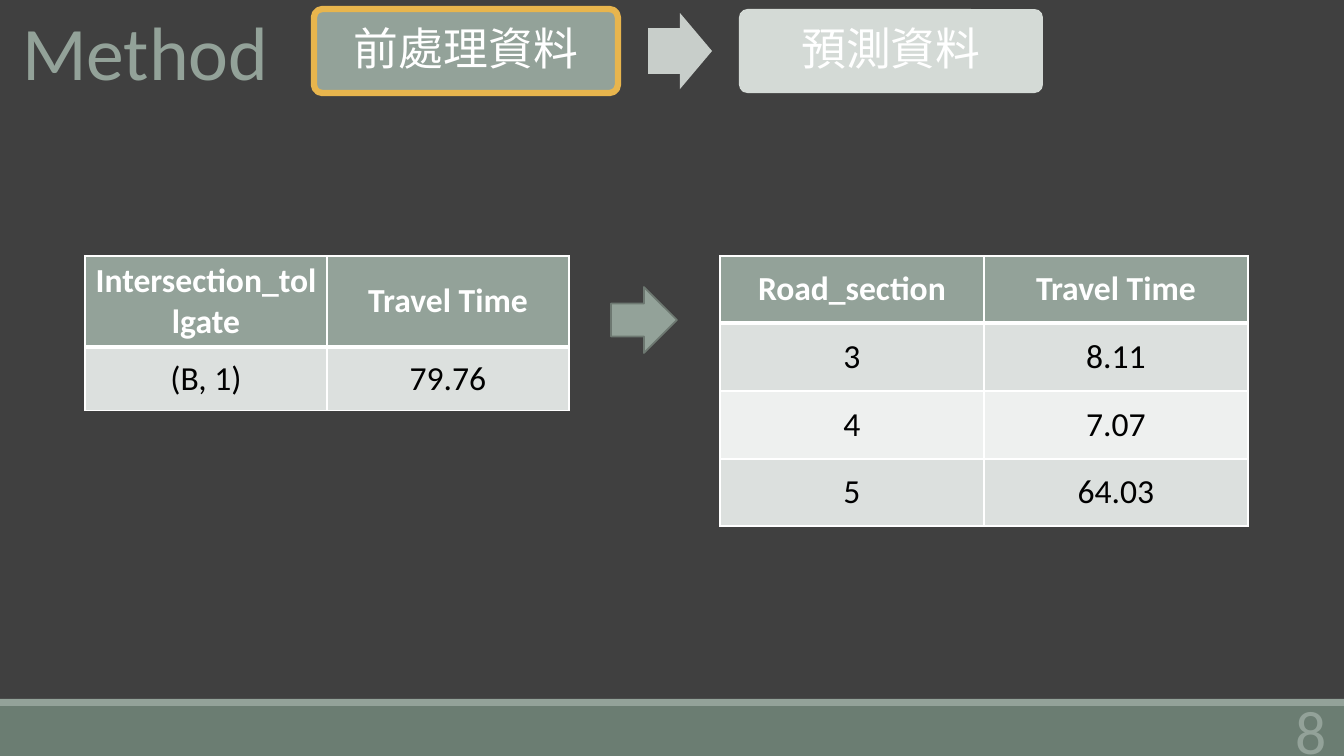
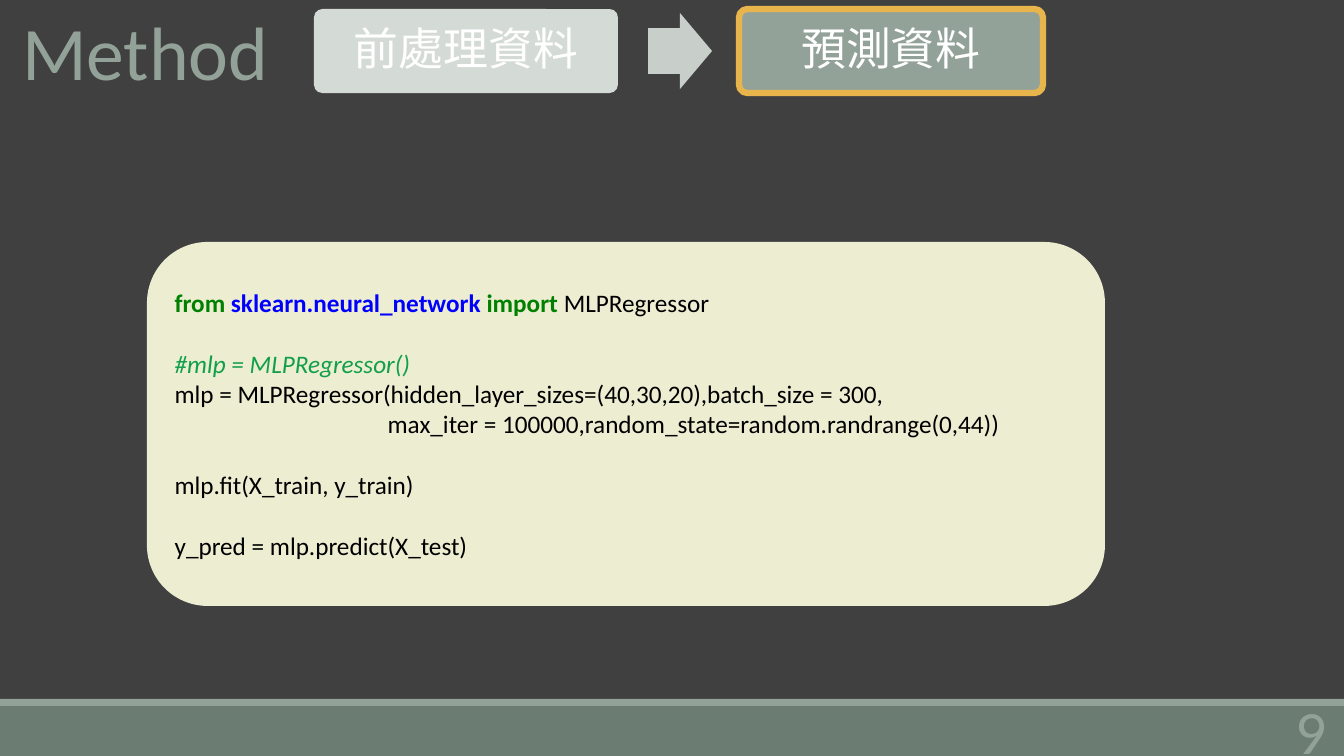
"""Build two Method slides: preprocessing tables and the prediction code."""
import dataclasses

import pptx
import pptx.dml.color
import pptx.enum.shapes
import pptx.enum.text
import pptx.oxml
import pptx.oxml.ns
import pptx.util

SHAPE = pptx.enum.shapes.MSO_SHAPE
ALIGN = pptx.enum.text.PP_ALIGN
ANCHOR = pptx.enum.text.MSO_ANCHOR
PX = 914400 / 100.8
WIDTH, HEIGHT = 1344, 756


@dataclasses.dataclass(frozen=True)
class Theme:
    font: str = "Calibri"
    cjk_font: str = "Noto Sans CJK SC"
    background: str = "404040"
    sage: str = "93A299"
    footer: str = "6B7D72"
    faded: str = "D4DAD6"
    step_arrow: str = "C8CECA"
    highlight: str = "E8B54D"
    arrow_line: str = "6D7871"
    rows: tuple = ("DCE0DE", "EEF0EF")
    code_box: str = "ECEDD1"
    keyword: str = "008000"
    module: str = "0000FF"
    remark: str = "119F4A"
    white: str = "FFFFFF"
    black: str = "000000"
    title_size: int = 54
    number_size: int = 44
    step_size: int = 32
    table_size: int = 24
    code_size: int = 18


T = Theme()

TITLE = "Method"
FIRST_NUMBER = 8
BANDS = [((0, 706, WIDTH, 50), T.footer), ((0, 699, WIDTH, 7), T.sage)]
TITLE_BOX = (12, 0, 269, 102)
NUMBER_BOX = (1193, 710, 144, 40)

STEPS = ["前處理資料", "預測資料"]
STEP_BOX = (314, 9, 304, 84)
STEP_PITCH = 425
STEP_ARROW_BOX = (648, 13, 64, 76)

TABLES = [
    {
        "origin": (85, 256),
        "column": 242,
        "heights": (90, 64),
        "rows": [("Intersection_tollgate", "Travel Time"), ("(B, 1)", "79.76")],
    },
    {
        "origin": (720, 256),
        "column": 264,
        "heights": (67, 68, 68, 67),
        "rows": [
            ("Road_section", "Travel Time"),
            ("3", "8.11"),
            ("4", "7.07"),
            ("5", "64.03"),
        ],
    },
]
TABLE_ARROW_BOX = (611, 287, 66, 66)

CODE_BOX = (147, 242, 958, 364)
CODE_INDENT = 213
PLAIN, KEYWORD, MODULE, REMARK = "plain", "keyword", "module", "remark"
CODE_STYLES = {
    PLAIN: (T.black, False, False),
    KEYWORD: (T.keyword, True, False),
    MODULE: (T.module, True, False),
    REMARK: (T.remark, False, True),
}
# pylint: disable=line-too-long
CODE = [
    {
        "runs": [
            ("from ", KEYWORD),
            ("sklearn.neural_network", MODULE),
            (" import ", KEYWORD),
            ("MLPRegressor", PLAIN),
        ]
    },
    {"runs": [("#mlp = MLPRegressor()", REMARK)], "gap": True},
    {"runs": [("mlp = MLPRegressor(hidden_layer_sizes=(40,30,20),batch_size = 300,", PLAIN)]},
    {"runs": [("max_iter = 100000,random_state=random.randrange(0,44))", PLAIN)], "indent": True},
    {"runs": [("mlp.fit(X_train, y_train)", PLAIN)], "gap": True},
    {"runs": [("y_pred = mlp.predict(X_test)", PLAIN)], "gap": True},
]


def px(value):
    return pptx.util.Emu(round(value * PX))


def rgb(color):
    return pptx.dml.color.RGBColor.from_string(color)


def style_run(r, size, color, bold=False, italic=False, font=T.font):
    r.font.name, r.font.size = font, pptx.util.Pt(size)
    r.font.bold, r.font.italic = bold, italic
    r.font.color.rgb = rgb(color)


def style_paragraph(p, align, *args, **kwargs):
    p.alignment = align
    for r in p.runs:
        style_run(r, *args, **kwargs)


def add_shape(s, kind, box, fill, line=None, line_width=1.25):
    sp = s.shapes.add_shape(kind, *map(px, box))
    sp.shadow.inherit = False
    sp.fill.solid()
    sp.fill.fore_color.rgb = rgb(fill)
    if line:
        sp.line.color.rgb = rgb(line)
        sp.line.width = pptx.util.Pt(line_width)
    else:
        sp.line.fill.background()
    return sp


def add_bands(s, layout):
    for box, color in BANDS:
        sp = add_shape(s, SHAPE.RECTANGLE, box, color)
        layout.shapes._spTree.append(sp._element)


def add_title(s):
    sp = s.shapes.title
    sp.left, sp.top, sp.width, sp.height = map(px, TITLE_BOX)
    tf = sp.text_frame
    tf.text = TITLE
    tf.word_wrap = False
    tf.auto_size = pptx.enum.text.MSO_AUTO_SIZE.SHAPE_TO_FIT_TEXT
    tf.vertical_anchor = ANCHOR.TOP
    style_paragraph(tf.paragraphs[0], ALIGN.LEFT, T.title_size, T.sage)


def add_number(s, number):
    tf = s.shapes.add_textbox(*map(px, NUMBER_BOX)).text_frame
    tf.text = str(number)
    tf.word_wrap = True
    tf.vertical_anchor = ANCHOR.MIDDLE
    style_paragraph(tf.paragraphs[0], ALIGN.RIGHT, T.number_size, T.sage)


def add_steps(s, active):
    left, top, width, height = STEP_BOX
    for i, label in enumerate(STEPS):
        fill, line = (T.sage, T.highlight) if i == active else (T.faded, None)
        box = (left + i * STEP_PITCH, top, width, height)
        sp = add_shape(s, SHAPE.ROUNDED_RECTANGLE, box, fill, line, 4.5)
        sp.adjustments[0] = 0.1
        tf = sp.text_frame
        tf.text = label
        tf.vertical_anchor = ANCHOR.MIDDLE
        p = tf.paragraphs[0]
        p.line_spacing = 0.9
        style_paragraph(p, ALIGN.CENTER, T.step_size, T.white, font=T.cjk_font)
        ea = pptx.oxml.parse_xml(
            f'<a:ea {pptx.oxml.ns.nsdecls("a")} typeface="{T.cjk_font}"/>'
        )
        p.runs[0].font._element.append(ea)
    arrow = add_shape(s, SHAPE.RIGHT_ARROW, STEP_ARROW_BOX, T.step_arrow)
    arrow.adjustments[0] = 0.6


def set_borders(cell, row):
    widths = {"L": 1, "R": 1, "T": 3 if row == 1 else 1, "B": 3 if row == 0 else 1}
    for side, width in widths.items():
        cell._tc.get_or_add_tcPr().append(
            pptx.oxml.parse_xml(
                f'<a:ln{side} {pptx.oxml.ns.nsdecls("a")} w="{pptx.util.Pt(width)}">'
                f'<a:solidFill><a:srgbClr val="{T.white}"/></a:solidFill></a:ln{side}>'
            )
        )


def add_table(s, origin, column, heights, rows):
    columns = len(rows[0])
    box = (*origin, column * columns, sum(heights))
    table = s.shapes.add_table(len(rows), columns, *map(px, box)).table
    for i, (height, values) in enumerate(zip(heights, rows)):
        table.rows[i].height = px(height)
        header = i == 0
        fill = T.sage if header else T.rows[(i - 1) % 2]
        for j, value in enumerate(values):
            cell = table.cell(i, j)
            set_borders(cell, i)
            cell.fill.solid()
            cell.fill.fore_color.rgb = rgb(fill)
            cell.vertical_anchor = ANCHOR.MIDDLE
            cell.text_frame.text = value
            color = T.white if header else T.black
            p = cell.text_frame.paragraphs[0]
            style_paragraph(p, ALIGN.CENTER, T.table_size, color, bold=header)


def add_tables(s):
    for table in TABLES:
        add_table(s, **table)
    add_shape(s, SHAPE.RIGHT_ARROW, TABLE_ARROW_BOX, T.sage, T.arrow_line)


def add_code(s):
    tf = add_shape(s, SHAPE.ROUNDED_RECTANGLE, CODE_BOX, T.code_box).text_frame
    tf.vertical_anchor = ANCHOR.MIDDLE
    for i, line in enumerate(CODE):
        p = tf.add_paragraph() if i else tf.paragraphs[0]
        p.alignment = ALIGN.LEFT
        if line.get("gap"):
            p.space_before = pptx.util.Pt(22)
        if line.get("indent"):
            p._p.get_or_add_pPr().set("marL", str(px(CODE_INDENT)))
        for text, style in line["runs"]:
            r = p.add_run()
            r.text = text
            style_run(r, T.code_size, *CODE_STYLES[style])


def main():
    prs = pptx.Presentation()
    prs.slide_width, prs.slide_height = px(WIDTH), px(HEIGHT)
    fill = prs.slide_master.background.fill
    fill.solid()
    fill.fore_color.rgb = rgb(T.background)
    layout = prs.slide_layouts[5]
    for i, add_content in enumerate((add_tables, add_code)):
        s = prs.slides.add_slide(layout)
        if i == 0:
            add_bands(s, layout)
        add_title(s)
        add_number(s, FIRST_NUMBER + i)
        add_steps(s, i)
        add_content(s)
    prs.save("out.pptx")


if __name__ == "__main__":
    main()
